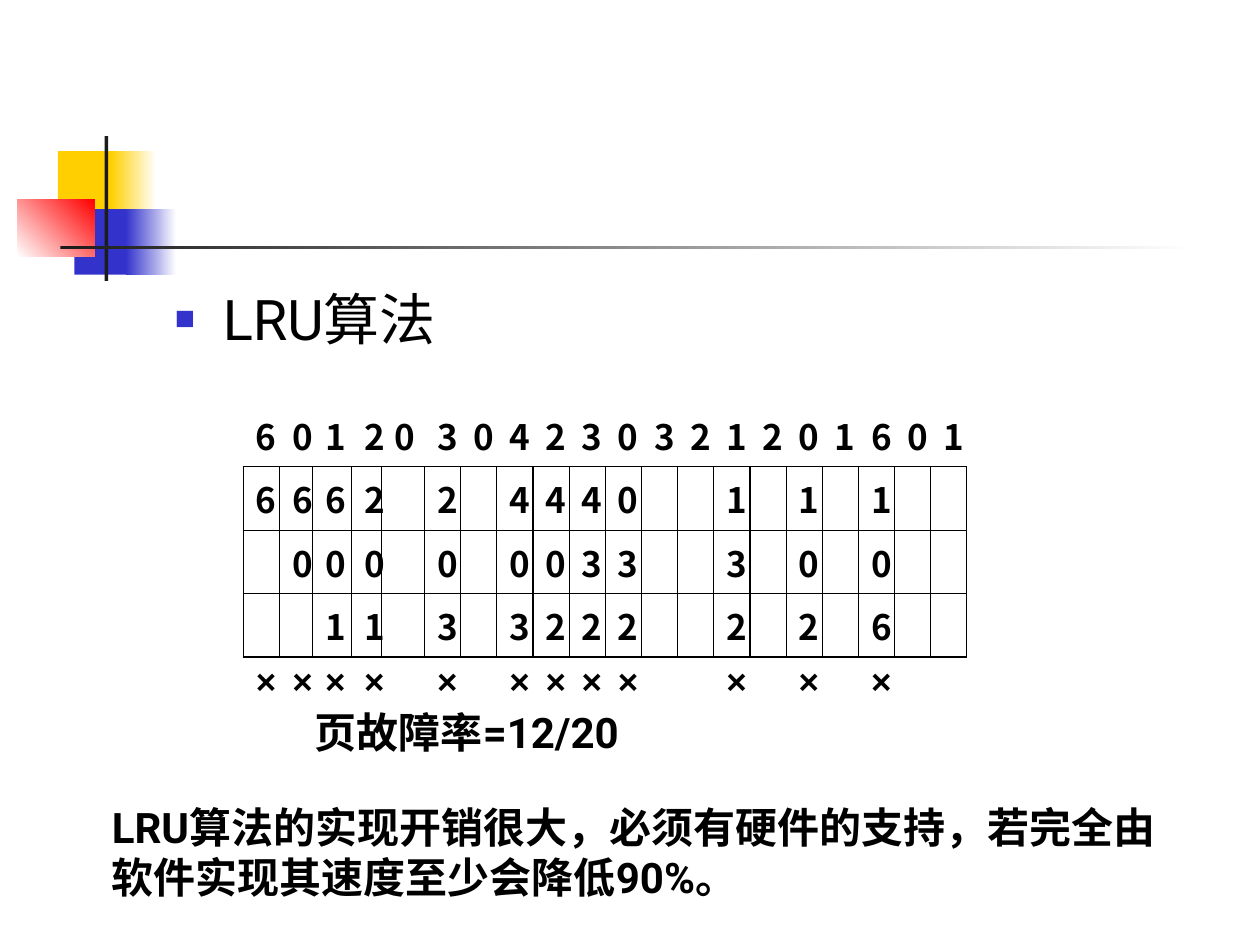
from lxml.etree import SubElement
from pptx import Presentation
from pptx.dml.color import RGBColor
from pptx.enum.shapes import MSO_SHAPE
from pptx.enum.text import MSO_AUTO_SIZE
from pptx.oxml.ns import qn
from pptx.util import Inches, Pt

BLACK = "000000"
WHITE = "FFFFFF"
BLUE = "3333CC"
GOLD = "FFCF01"
DARK = "1C1C1C"

# One character per column: page references, three frames, fault marks
ROWS = [
    "60120304230321201601",
    "6662 2 4440  1 1 1  ",
    " 000 0 0033  3 0 0  ",
    "  11 3 3222  2 2 6  ",
    "×××× × ××××  × × ×  ",
]
FIRST = [0.29, 0.26, 0.31, 0.24, 0.34]


def color(code):
    return RGBColor.from_string(code)


def add_block(slide, box, start, end=None, angle=0):
    """Add a rectangle, plain or fading from start to end."""
    block = slide.shapes.add_shape(MSO_SHAPE.RECTANGLE, *map(Inches, box))
    block.shadow.inherit = False
    block.line.fill.background()
    if end is None:
        block.fill.solid()
        block.fill.fore_color.rgb = color(start)
        return
    block.fill.gradient()
    block.fill.gradient_angle = angle
    for stop, code in zip(block.fill.gradient_stops, (start, end)):
        stop.color.rgb = color(code)


def add_run(para, text, size, face, bold=True):
    run = para.add_run()
    run.text = text
    font = run.font
    font.size, font.bold, font.name = Pt(size), bold, face
    font.color.rgb = color(BLACK)
    SubElement(run._r.get_or_add_rPr(), qn("a:ea")).set("typeface", face)


def add_text(slide, box, text, size=24, bold=True, wrap=True, grow=True):
    shape = slide.shapes.add_textbox(*map(Inches, box))
    frame = shape.text_frame
    frame.word_wrap = wrap
    frame.auto_size = (MSO_AUTO_SIZE.SHAPE_TO_FIT_TEXT if grow
                       else MSO_AUTO_SIZE.NONE)
    para = frame.paragraphs[0]
    add_run(para, text, size, "Roboto", bold)
    return para


def add_bullet(para):
    props = para._p.get_or_add_pPr()
    props.set("marL", str(Inches(0.38)))
    props.set("indent", str(Inches(-0.38)))
    tint = SubElement(props, qn("a:buClr"))
    SubElement(tint, qn("a:srgbClr")).set("val", BLUE)
    SubElement(props, qn("a:buSzPct")).set("val", "60000")
    SubElement(props, qn("a:buFont")).set("typeface", "Arial")
    SubElement(props, qn("a:buChar")).set("char", "■")


def set_edges(cell, drawn):
    """Draw the named sides of a cell and hide the others."""
    props = cell._tc.get_or_add_tcPr()
    for side in "LRTB":
        line = SubElement(props, qn("a:ln" + side))
        line.set("w", str(Pt(0.75)))
        if side in drawn:
            fill = SubElement(line, qn("a:solidFill"))
            SubElement(fill, qn("a:srgbClr")).set("val", BLACK)
        else:
            SubElement(line, qn("a:noFill"))


def add_grid(slide, left, top, width, high):
    count, last = len(ROWS[0]), len(ROWS) - 1
    table = slide.shapes.add_table(
        len(ROWS), count, Inches(left), Inches(top),
        Inches(width), Inches(high * len(ROWS))).table
    table.first_row = table.horz_banding = False
    rest = (width - sum(FIRST)) / (count - len(FIRST))
    sizes = FIRST + [rest] * (count - len(FIRST))
    for col, size in zip(table.columns, sizes):
        col.width = Inches(size)
    for y, marks in enumerate(ROWS):
        table.rows[y].height = Inches(high)
        edges = {0: "B", last: "T"}.get(y, "LRTB")
        face = "Arial" if y == last else "Noto Sans CJK SC"
        for x, mark in enumerate(marks):
            cell = table.cell(y, x)
            set_edges(cell, edges)
            cell.fill.background()
            if mark != " ":
                add_run(cell.text_frame.paragraphs[0], mark, 20, face)


def add_decor(slide):
    add_block(slide, (0.46, 1.2, 0.48, 0.52), GOLD)
    add_block(slide, (0.88, 1.2, 0.36, 0.52), GOLD, WHITE)
    add_block(slide, (0.59, 1.66, 0.46, 0.52), BLUE)
    add_block(slide, (1, 1.66, 0.4, 0.52), BLUE, WHITE)
    add_block(slide, (0.14, 1.58, 0.61, 0.46), WHITE, "FF0000", 45)
    add_block(slide, (0.83, 1.08, 0.03, 1.15), DARK)
    add_block(slide, (0.48, 1.95, 9, 0.03), DARK, WHITE)


def main():
    deck = Presentation()
    deck.slide_width, deck.slide_height = Inches(10), Inches(7.5)
    slide = deck.slides.add_slide(deck.slide_layouts[6])

    # Corner squares and rules
    add_decor(slide)

    # Heading
    head = add_text(slide, (1.29, 2.21, 8.5, 4.5), "LRU算法",
                    size=32, bold=False, grow=False)
    add_bullet(head)

    # Page frames over time
    add_grid(slide, 1.93, 3.2, 5.75, 0.47)

    # Fault rate and remark
    add_text(slide, (2.4, 5.56, 2.7, 0.5), "页故障率=12/20", wrap=False)
    add_text(slide, (0.79, 6.31, 8.74, 0.9),
             "LRU算法的实现开销很大，必须有硬件的支持，"
             "若完全由软件实现其速度至少会降低90%。")

    deck.save("out.pptx")


if __name__ == "__main__":
    main()
